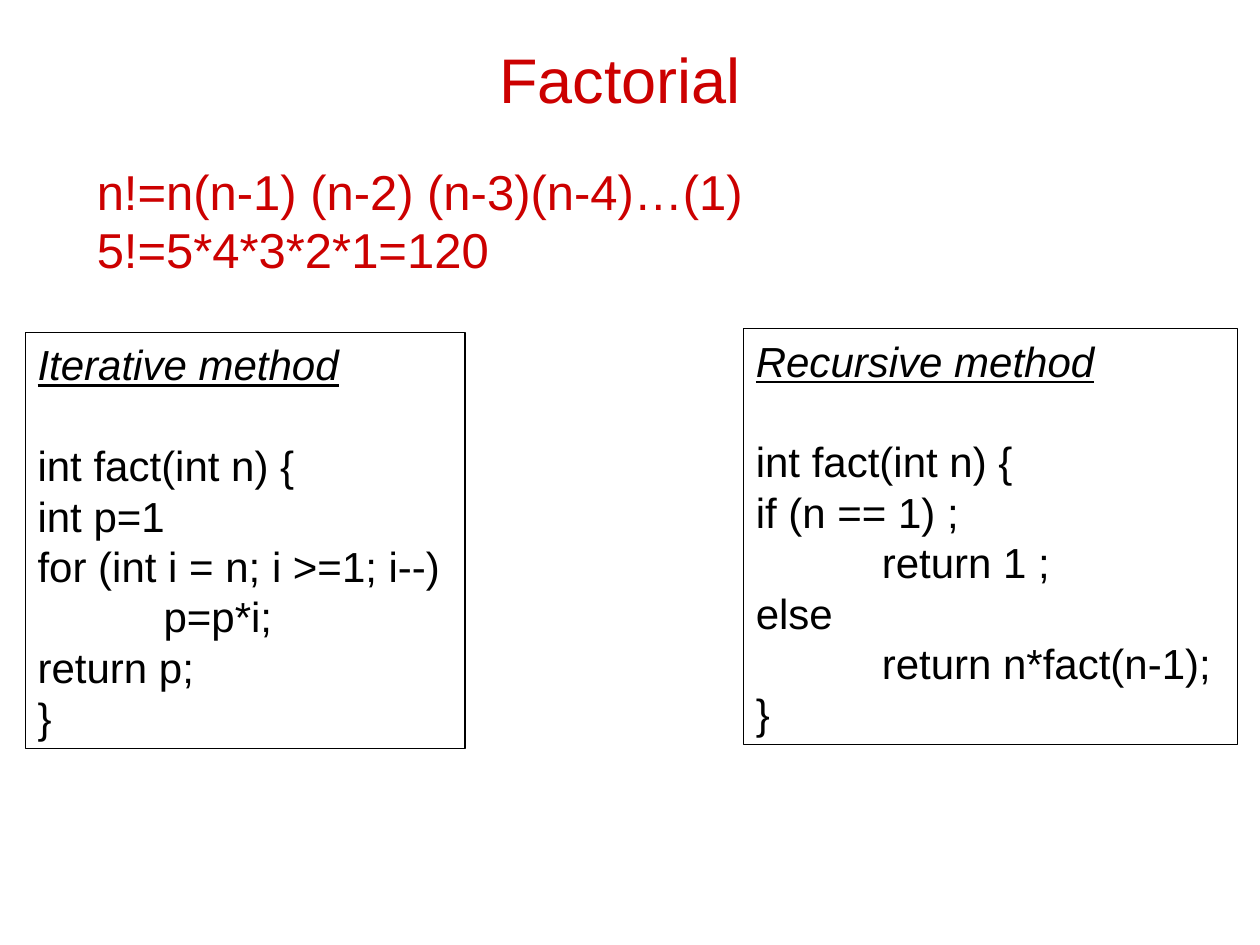
import pptx
import pptx.util
import pptx.dml.color
import pptx.enum.shapes
import pptx.enum.text
import pptx.oxml.ns
import lxml.etree

Inches = pptx.util.Inches
Pt = pptx.util.Pt
Align = pptx.enum.text.PP_ALIGN
Anchor = pptx.enum.text.MSO_ANCHOR


class Deck:
    font = "Arial"
    hues = {"red": "CC0000", "ink": "000000"}
    pitch = 1.2

    def __init__(self):
        self.file = pptx.Presentation()
        self.file.slide_width = Inches(10)
        self.file.slide_height = Inches(7.5)
        self.slide = self.file.slides.add_slide(self.file.slide_layouts[5])

    def hue(self, name):
        return pptx.dml.color.RGBColor.from_string(self.hues[name])

    def frame(self, shape, anchor):
        frame = shape.text_frame
        frame.word_wrap = True
        frame.auto_size = pptx.enum.text.MSO_AUTO_SIZE.NONE
        frame.vertical_anchor = anchor
        return frame

    def tab(self, para):
        qn = pptx.oxml.ns.qn
        tabs = lxml.etree.SubElement(para._p.get_or_add_pPr(), qn("a:tabLst"))
        lxml.etree.SubElement(tabs, qn("a:tab"), pos=str(Inches(1)), algn="l")

    def line(self, para, text, size, color, align=Align.LEFT, head=False):
        para.alignment = align
        para.line_spacing = Pt(size * self.pitch)
        run = para.add_run()
        run.text = text
        font = run.font
        font.name = self.font
        font.size = Pt(size)
        font.color.rgb = self.hue(color)
        if head:
            font.italic = True
            font.underline = True

    def title(self, text, left, top, width, height):
        shape = self.slide.shapes.title
        shape.left, shape.top = Inches(left), Inches(top)
        shape.width, shape.height = Inches(width), Inches(height)
        frame = self.frame(shape, Anchor.MIDDLE)
        self.line(frame.paragraphs[0], text, 36, "red", Align.CENTER)

    def text(self, lines, left, top, width, height):
        shape = self.slide.shapes.add_textbox(
            Inches(left), Inches(top), Inches(width), Inches(height))
        frame = self.frame(shape, Anchor.TOP)
        for i, text in enumerate(lines):
            para = frame.add_paragraph() if i else frame.paragraphs[0]
            self.line(para, text, 28, "red")

    def code(self, head, lines, left, top, width, height):
        shape = self.slide.shapes.add_shape(
            pptx.enum.shapes.MSO_SHAPE.RECTANGLE,
            Inches(left), Inches(top), Inches(width), Inches(height))
        shape.shadow.inherit = False
        shape.fill.background()
        shape.line.color.rgb = self.hue("ink")
        shape.line.width = Pt(0.75)
        frame = self.frame(shape, Anchor.MIDDLE)
        size = 24
        self.line(frame.paragraphs[0], head, size, "ink", head=True)
        for i, text in enumerate(lines):
            para = frame.add_paragraph()
            self.tab(para)
            if i == 0:
                para.space_before = Pt(size * self.pitch)
            self.line(para, text, size, "ink")


def main():
    deck = Deck()
    deck.title("Factorial", 0.67, 0.21, 8.5, 0.82)
    deck.text(["n!=n(n-1) (n-2) (n-3)(n-4)…(1)", "5!=5*4*3*2*1=120"],
              0.67, 1.23, 7.84, 1.04)
    deck.code("Recursive method",
              ["int fact(int n) {", "if (n == 1) ;", "\treturn 1 ;",
               "else", "\treturn n*fact(n-1);", "}"],
              5.9, 2.61, 3.92, 3.3)
    deck.code("Iterative method",
              ["int fact(int n) {", "int p=1", "for (int i = n; i >=1; i--)",
               "\tp=p*i;", "return p;", "}"],
              0.2, 2.64, 3.49, 3.3)
    deck.file.save("out.pptx")


if __name__ == "__main__":
    main()
